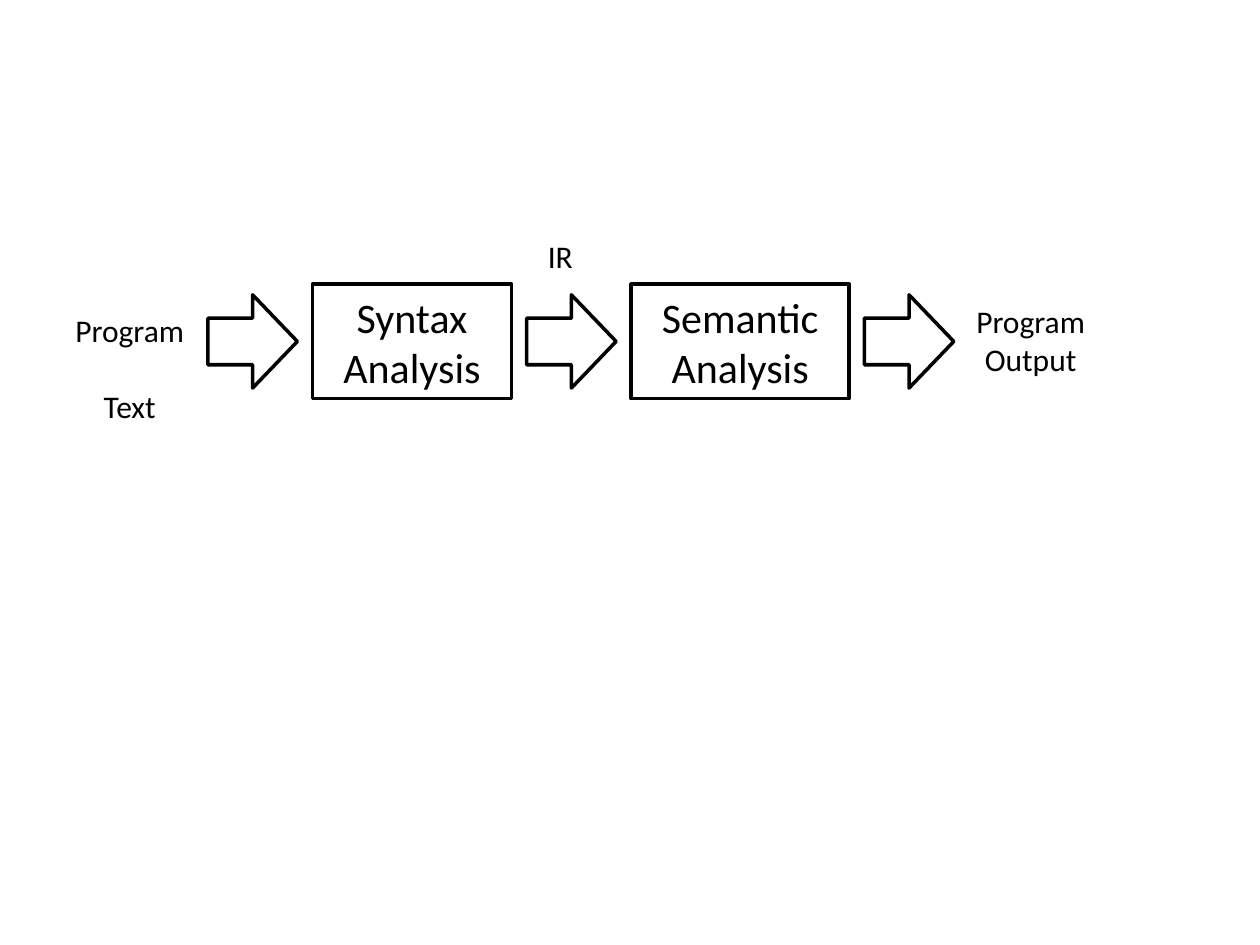
import pptx
import pptx.util
import pptx.dml.color
import pptx.enum.shapes
import pptx.enum.text

SHAPES = pptx.enum.shapes.MSO_SHAPE
ALIGN = pptx.enum.text.PP_ALIGN
INCH = pptx.util.Inches
BLACK, WHITE = "000000", "FFFFFF"

STAGES = [
    ("arrow", 0.71, []),
    ("box", 1.58, [["Syntax"], ["Analysis"]]),
    ("arrow", 0.71, []),
    ("box", 1.73, [["Semantic"], ["Analysis"]]),
    ("arrow", 0.71, []),
]
KINDS = {"arrow": (SHAPES.RIGHT_ARROW, 0.74), "box": (SHAPES.RECTANGLE, 0.91)}
LABELS = [
    ([["Program", "Text"]], (0.5, 2.42, 1.06, 0.64), ALIGN.CENTER),
    ([["IR"]], (4.25, 1.83, 0.43, 0.37), ALIGN.LEFT),
    ([["Program"], ["Output"]], (7.65, 2.35, 1.06, 0.64), ALIGN.CENTER),
]
FLOW_LEFT, FLOW_MIDDLE, GAP = 1.65, 2.71, 0.12


def colour(value):
    return pptx.dml.color.RGBColor.from_string(value)


def write(frame, paragraphs, size, align):
    frame.auto_size = pptx.enum.text.MSO_AUTO_SIZE.SHAPE_TO_FIT_TEXT
    for number, lines in enumerate(paragraphs):
        para = frame.add_paragraph() if number else frame.paragraphs[0]
        para.alignment = align
        for row, line in enumerate(lines):
            if row:
                para.add_line_break()
            span = para.add_run()
            span.text = line
            span.font.name = "Calibri"
            span.font.size = pptx.util.Pt(size)
            span.font.color.rgb = colour(BLACK)


deck = pptx.Presentation()
deck.slide_width, deck.slide_height = INCH(10), INCH(7.5)
page = deck.slides.add_slide(deck.slide_layouts[6])

left = FLOW_LEFT
for kind, width, paragraphs in STAGES:
    preset, height = KINDS[kind]
    place = (left, FLOW_MIDDLE - height / 2, width, height)
    stage = page.shapes.add_shape(preset, *map(INCH, place))
    stage.shadow.inherit = False
    stage.fill.solid()
    stage.fill.fore_color.rgb = colour(WHITE)
    stage.line.color.rgb = colour(BLACK)
    stage.line.width = pptx.util.Pt(2)
    if paragraphs:
        write(stage.text_frame, paragraphs, 24, ALIGN.CENTER)
    left += width + GAP

for paragraphs, place, align in LABELS:
    label = page.shapes.add_textbox(*map(INCH, place))
    label.text_frame.word_wrap = False
    write(label.text_frame, paragraphs, 18, align)

deck.save("out.pptx")
